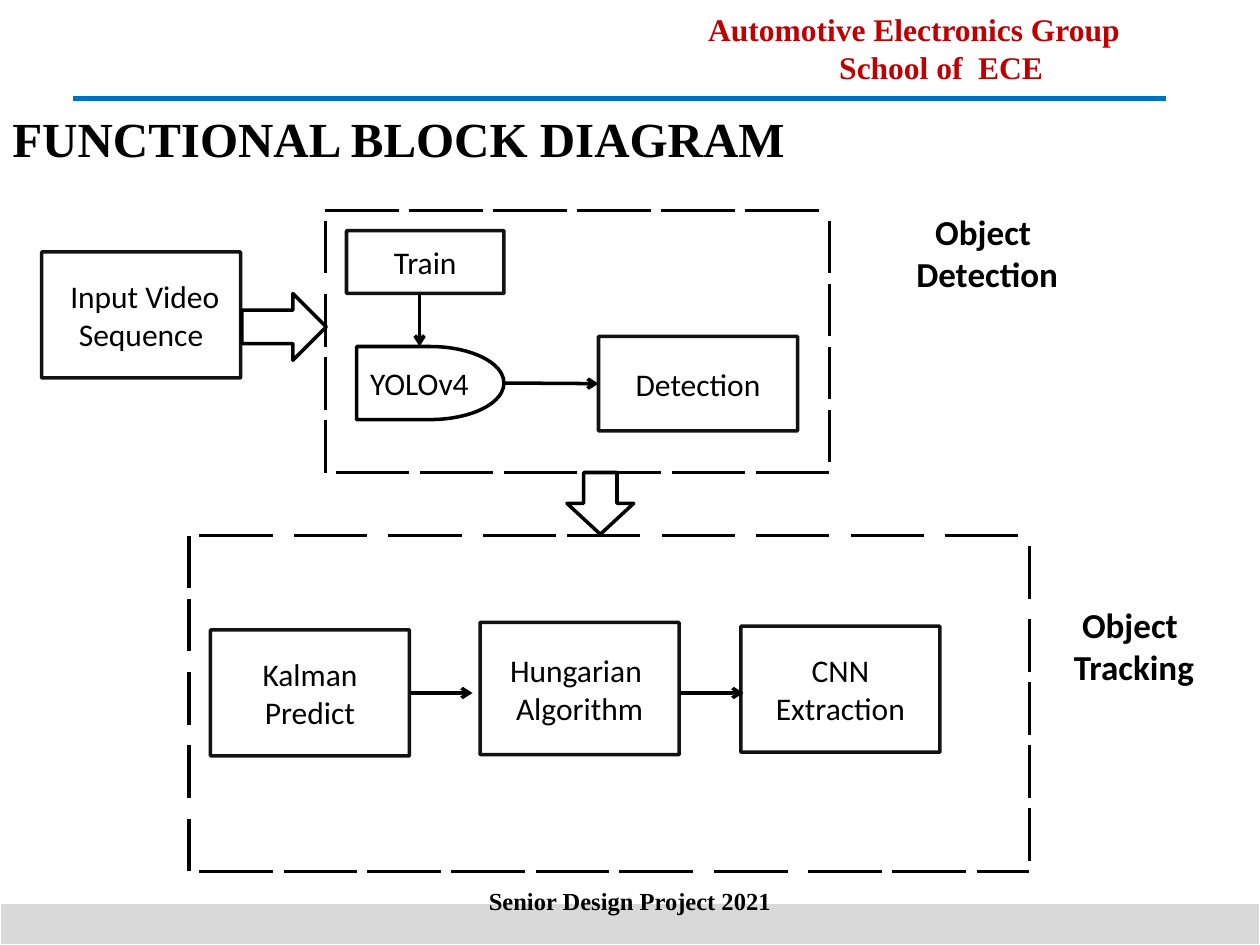
from lxml import etree
from pptx import Presentation
from pptx.dml.color import RGBColor
from pptx.enum import shapes, text
from pptx.oxml import ns
from pptx.util import Inches, Pt

BLACK = RGBColor(0, 0, 0)
WHITE = RGBColor(255, 255, 255)
RED = RGBColor(0xC0, 0, 0)
BLUE = RGBColor(0, 0x70, 0xC0)
GREY = RGBColor(0xD9, 0xD9, 0xD9)
KIND = shapes.MSO_SHAPE
MID = text.MSO_ANCHOR.MIDDLE
LOW = text.MSO_ANCHOR.BOTTOM
TOP = text.MSO_ANCHOR.TOP
LEFT = text.PP_ALIGN.LEFT
MAIN = text.PP_ALIGN.CENTER
SERIF = "Times New Roman"


def add_tag(parent, name, **attrs):
    return etree.SubElement(parent, ns.qn(name), **attrs)


def write(shape, words, size=18, font="Calibri", color=BLACK, bold=False,
          anchor=MID, align=MAIN):
    frame = shape.text_frame
    frame.word_wrap = True
    frame.vertical_anchor = anchor
    frame.text = words
    for para in frame.paragraphs:
        para.alignment = align
        for run in para.runs:
            run.font.size = Pt(size)
            run.font.name = font
            run.font.bold = bold
            run.font.color.rgb = color
    return frame


def indent(para, width):
    props = para._p.get_or_add_pPr()
    props.set("marL", "0")
    props.set("indent", str(Inches(width)))


def add_box(slide, box, words="", kind=KIND.RECTANGLE, fill=WHITE, edge=BLACK,
            width=2, **style):
    shape = slide.shapes.add_shape(kind, *map(Inches, box))
    shape.shadow.inherit = False
    shape.fill.solid()
    shape.fill.fore_color.rgb = fill
    shape.line.color.rgb = edge
    shape.line.width = Pt(width)
    if words:
        write(shape, words, **style)
    return shape


def add_block(slide, box, words):
    shape = add_box(slide, box, words)
    tint = shape.line._ln.find(".//" + ns.qn("a:srgbClr"))
    add_tag(tint, "a:alpha", val="92000")
    return shape


def add_text(slide, box, words, **style):
    return write(slide.shapes.add_textbox(*map(Inches, box)), words, font=SERIF,
                 bold=True, **style)


def add_line(slide, x, y, x2, y2, color=BLACK, width=1.75, head=False):
    line = slide.shapes.add_connector(shapes.MSO_CONNECTOR.STRAIGHT,
                                      *map(Inches, (x, y, x2, y2)))
    line.line.color.rgb = color
    line.line.width = Pt(width)
    if head:
        add_tag(line.line._ln, "a:tailEnd", type="arrow")
    add_tag(line._element.spPr, "a:effectLst")
    return line


def add_arrow(slide, x, y, x2, y2):
    return add_line(slide, x, y, x2, y2, width=2, head=True)


def add_frame(slide, box, top, base, left, right):
    x, y, w, h = box
    unit = 1 / 12
    for starts, drop in ((top, 0), (base, h)):
        for start in starts:
            end = min(start + 7 * unit, w)
            add_line(slide, x + start, y + drop, x + end, y + drop)
    for starts, shift in ((left, 0), (right, w)):
        for start in starts:
            add_line(slide, x + shift, y + start, x + shift, y + start + 5 * unit)


def twelfths(*counts):
    return [count / 12 for count in counts]


def header(slide, x, y):
    frame = add_text(slide, (x + 5.17, y + 0.03, 4.17, 0.69),
                     "Automotive Electronics Group\nSchool of  ECE",
                     color=RED, anchor=TOP)
    indent(frame.paragraphs[1], 0.43)
    add_line(slide, x + 0.58, y + 0.78, x + 9.25, y + 0.78, BLUE, 3)
    title = add_text(slide, (x, y + 0.4, 8.62, 1.02), "FUNCTIONAL BLOCK DIAGRAM",
                     size=28, anchor=LOW, align=LEFT)
    title.margin_bottom = Inches(0.09)
    title.paragraphs[0].line_spacing = 0.9


def footer(slide, x, y):
    add_box(slide, (x, y + 0.22, 10, 0.33), fill=GREY, edge=WHITE, width=0.5)
    add_text(slide, (x + 3.31, y, 3.38, 0.4), "Senior Design Project 2021", size=14)


def source(slide, x, y):
    block = add_block(slide, (x, y, 1.58, 1), "Input Video Sequence")
    indent(block.text_frame.paragraphs[0], 0.06)
    add_box(slide, (x + 1.59, y + 0.33, 0.67, 0.53), kind=KIND.RIGHT_ARROW)


def label(slide, box, words):
    add_box(slide, box, words, edge=WHITE, size=20, bold=True)


def detect(slide, box):
    x, y = box[:2]
    add_frame(slide, box,
              top=twelfths(*range(0, 41, 8)),
              base=twelfths(*range(1, 42, 8)),
              left=twelfths(1, 8, 14, 20),
              right=twelfths(*range(1, 20, 6)))
    add_block(slide, (x + 0.17, y + 0.16, 1.25, 0.5), "Train")
    add_box(slide, (x + 0.25, y + 1.08, 1.17, 0.58), "YOLOv4",
            kind=KIND.FLOWCHART_DELAY)
    result = add_block(slide, (x + 2.17, y + 1, 1.58, 0.75), "Detection")
    add_arrow(slide, x + 0.75, y + 0.66, x + 0.75, y + 1.08)
    link = add_arrow(slide, x + 1.42, y + 1.37, x + 2.17, y + 1.37)
    link.end_connect(result, 1)
    label(slide, (x + 4.17, y, 2.17, 0.67), "Object \nDetection")
    add_box(slide, (x + 1.92, y + 2.08, 0.53, 0.49), kind=KIND.DOWN_ARROW)


def track(slide, box):
    x, y = box[:2]
    add_frame(slide, box,
              top=twelfths(*range(1, 29, 9), *range(36, 73, 9)),
              base=twelfths(*range(1, 42, 8), 50, 59, 67, 75),
              left=twelfths(0, *range(6, 28, 7)),
              right=twelfths(1, *range(8, 27, 6)))
    first = add_block(slide, (x + 0.17, y + 0.75, 1.58, 1), "Kalman Predict")
    add_block(slide, (x + 2.31, y + 0.69, 1.58, 1.05), "Hungarian \nAlgorithm")
    add_block(slide, (x + 4.38, y + 0.72, 1.58, 1), "CNN\nExtraction")
    link = add_arrow(slide, x + 1.75, y + 1.25, x + 2.25, y + 1.25)
    link.begin_connect(first, 3)
    add_arrow(slide, x + 3.9, y + 1.25, x + 4.4, y + 1.25)
    label(slide, (x + 6.75, y + 0.5, 1.5, 0.75), "Object \nTracking")


def main():
    deck = Presentation()
    deck.slide_width, deck.slide_height = Inches(10), Inches(7.5)
    slide = deck.slides.add_slide(deck.slide_layouts[6])
    header(slide, 0, 0)
    footer(slide, 0, 6.95)
    source(slide, 0.33, 2)
    detect(slide, (2.58, 1.67, 4, 2.08))
    track(slide, (1.5, 4.25, 6.67, 2.67))
    deck.save("out.pptx")


if __name__ == "__main__":
    main()
